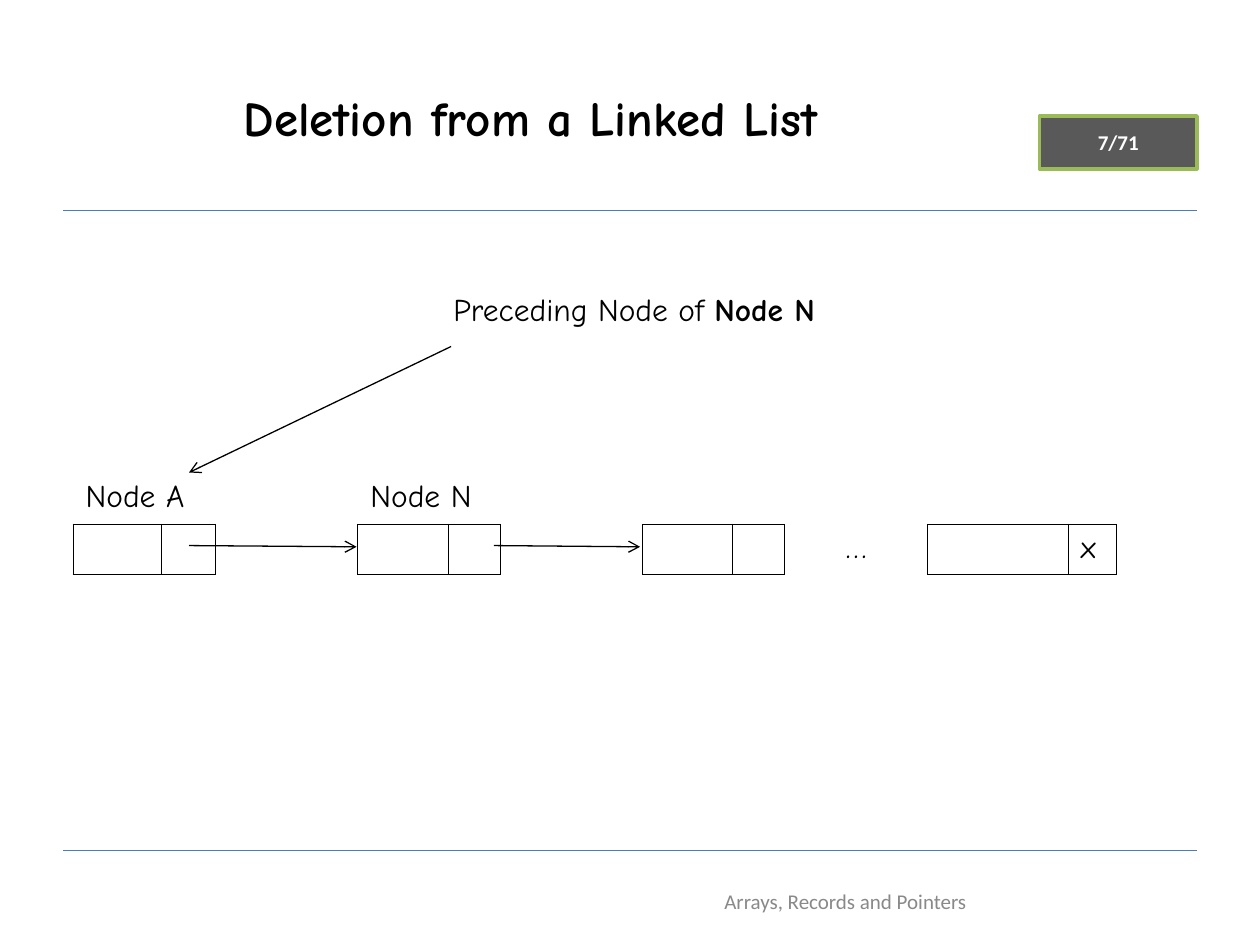
import pptx
import pptx.util
import pptx.dml.color
import pptx.enum.shapes
import pptx.enum.text
import pptx.oxml
import pptx.oxml.ns
from pptx.util import Inches

COLORS = {"ink": "000000", "rule": "4A7EBB", "badge": "595959",
          "edge": "9BBB59", "white": "FFFFFF", "footer": "898989"}
HAND = "Comic Neue"
SANS = "Calibri"
CENTER = pptx.enum.text.PP_ALIGN.CENTER
MIDDLE = pptx.enum.text.MSO_ANCHOR.MIDDLE
GAP_COLUMNS = (2, 5, 8)


def rgb(name):
    return pptx.dml.color.RGBColor.from_string(COLORS[name])


def style_runs(frame, size, font, color, bold=False, align=None):
    for paragraph in frame.paragraphs:
        paragraph.alignment = align
        for run in paragraph.runs:
            run.font.size = pptx.util.Pt(size)
            run.font.name = font
            run.font.bold = bold
            run.font.color.rgb = rgb(color)


def add_xml(parent, tag, **attributes):
    child = pptx.oxml.parse_xml(f"<a:{tag} {pptx.oxml.ns.nsdecls('a')}/>")
    for key, value in attributes.items():
        child.set(key, value)
    parent.append(child)
    return child


def add_line(slide, start, end, color, arrow=False):
    line = slide.shapes.add_connector(
        pptx.enum.shapes.MSO_CONNECTOR.STRAIGHT,
        *(Inches(value) for value in start + end))
    line.line.color.rgb = rgb(color)
    line.line.width = pptx.util.Pt(0.75)
    if arrow:
        add_xml(line.line._get_or_add_ln(), "tailEnd", type="arrow")
    add_xml(line._element.spPr, "effectLst")


def add_title(slide, left, top, width, height):
    title = slide.shapes.title
    title.left, title.top = Inches(left), Inches(top)
    title.width, title.height = Inches(width), Inches(height)
    title.text_frame.text = "Deletion from a Linked List"
    title.text_frame.vertical_anchor = MIDDLE
    style_runs(title.text_frame, 28, HAND, "ink", True, CENTER)


def add_page_badge(slide, *box):
    badge = slide.shapes.add_shape(
        pptx.enum.shapes.MSO_SHAPE.RECTANGLE, *map(Inches, box))
    badge.shadow.inherit = False
    badge.fill.solid()
    badge.fill.fore_color.rgb = rgb("badge")
    badge.line.color.rgb = rgb("edge")
    badge.line.width = pptx.util.Pt(2)
    badge.text_frame.text = "7/71"
    badge.text_frame.vertical_anchor = MIDDLE
    style_runs(badge.text_frame, 12, SANS, "white", True, CENTER)


def add_footer(slide, *box):
    frame = slide.shapes.add_textbox(*map(Inches, box)).text_frame
    frame.word_wrap = True
    frame.vertical_anchor = MIDDLE
    frame.text = "Arrays, Records and Pointers"
    style_runs(frame, 12, SANS, "footer", align=CENTER)


def add_caption(slide, *box):
    frame = slide.shapes.add_textbox(*map(Inches, box)).text_frame
    frame.word_wrap = False
    frame.text = "Preceding Node of "
    frame.paragraphs[0].add_run().text = "Node N"
    style_runs(frame, 18, HAND, "ink")
    frame.paragraphs[0].runs[1].font.bold = True


def set_borders(cell, visible):
    properties = cell._tc.get_or_add_tcPr()
    for side in "LRTB":
        border = add_xml(properties, f"ln{side}", w=str(pptx.util.Pt(0.45)))
        if side in visible:
            fill = add_xml(border, "solidFill")
            add_xml(fill, "srgbClr", val=COLORS["ink"])
        else:
            add_xml(border, "noFill")


def add_linked_list(slide, left, top, width, height):
    column_widths = (0.7, 0.43, 1.13, 0.72, 0.41, 1.13,
                     0.71, 0.42, 1.13, 1.12, 0.38)
    nodes = slide.shapes.add_table(
        2, len(column_widths), Inches(left), Inches(top),
        Inches(width), Inches(height)).table
    nodes.first_row = False
    nodes.horz_banding = False
    for column, column_width in zip(nodes.columns, column_widths):
        column.width = Inches(column_width)
    for row, row_height in zip(nodes.rows, (0.41, 0.4)):
        row.height = Inches(row_height)
    for column in range(len(column_widths)):
        is_gap = column in GAP_COLUMNS
        for row, visible in enumerate(("", "LR") if is_gap else ("B", "LRTB")):
            cell = nodes.cell(row, column)
            set_borders(cell, visible)
            cell.fill.background()
    for column in (0, 3, 6):
        nodes.cell(0, column).merge(nodes.cell(0, column + 1))
    labels = ((0, 0, "Node A", None), (0, 3, "Node N", None),
              (1, 8, "…", CENTER), (1, 10, "x", None))
    for row, column, label, align in labels:
        frame = nodes.cell(row, column).text_frame
        frame.text = label
        style_runs(frame, 18, HAND, "ink", align=align)
    for tail, head in ((0.92, 2.25), (3.34, 4.5)):
        add_line(slide, (left + tail, top + 0.58),
                 (left + head, top + 0.59), "ink", True)


def main():
    deck = pptx.Presentation()
    deck.slide_width, deck.slide_height = Inches(10), Inches(7.5)
    slide = deck.slides.add_slide(deck.slide_layouts[5])
    for rule_top in (1.67, 6.75):
        add_line(slide, (0.5, rule_top), (9.5, rule_top), "rule")
    add_page_badge(slide, 8.25, 0.92, 1.25, 0.42)
    add_title(slide, 0.5, 0.3, 7.42, 1.25)
    add_footer(slide, 5.25, 6.95, 2.92, 0.4)
    add_linked_list(slide, 0.58, 3.75, 8.25, 0.81)
    add_caption(slide, 3.5, 2.25, 3.07, 0.4)
    add_line(slide, (3.58, 2.75), (1.5, 3.75), "ink", True)
    deck.save("out.pptx")


if __name__ == "__main__":
    main()
